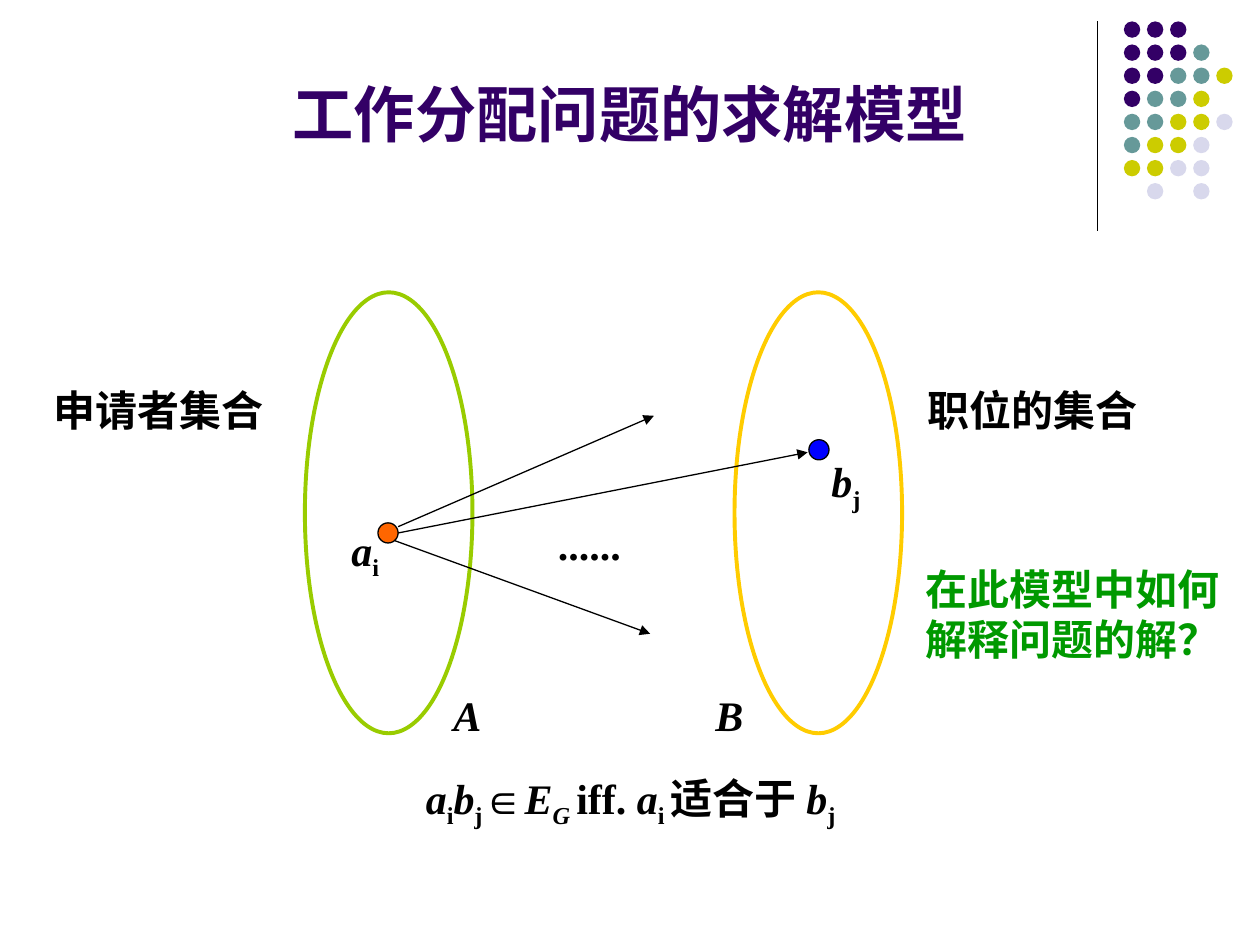
import pptx
import pptx.dml.color
import pptx.enum.dml
import pptx.enum.shapes
import pptx.enum.text
import pptx.oxml.ns
import pptx.util
from lxml import etree
from pptx.util import Inches

COLORS = {
    "purple": "330066", "teal": "669999", "olive": "CCCC00", "lavender": "D8D8EC",
    "black": "000000", "applicants": "99CC00", "jobs": "FFCC00",
    "applicant": "FF6600", "job": "0000FF", "question": "009900",
}
DOT_ROWS = ["PPP", "PPPT", "PPTTO", "PTTO", "TTOOL", "TOOL", "OOLL", " L L"]
DOT_COLORS = {"P": "purple", "T": "teal", "O": "olive", "L": "lavender"}
SERIF = "Times New Roman"
CENTER = pptx.enum.text.PP_ALIGN.CENTER
LEFT = pptx.enum.text.PP_ALIGN.LEFT


def rgb(name):
    """Return the named palette colour."""
    return pptx.dml.color.RGBColor.from_string(COLORS[name])


def format_run(run, size, font, color, italic=False):
    """Apply bold lettering to a run."""
    run.font.size = pptx.util.Pt(size)
    run.font.name = font
    run.font.bold = True
    run.font.italic = italic
    run.font.color.rgb = rgb(color)


def set_title(slide, wording):
    """Place and format the slide title."""
    title = slide.shapes.title
    title.left, title.top = Inches(0), Inches(0.51)
    title.width, title.height = Inches(10), Inches(0.73)
    frame = title.text_frame
    frame.text = wording
    frame.auto_size = pptx.enum.text.MSO_AUTO_SIZE.NONE
    frame.vertical_anchor = pptx.enum.text.MSO_ANCHOR.BOTTOM
    frame.paragraphs[0].alignment = CENTER
    format_run(frame.paragraphs[0].runs[0], 35, "Arial", "purple")


def add_ellipse(shapes, left, top, width, height, fill=None, line=None, weight=0.75):
    """Add an ellipse with optional fill and outline."""
    ellipse = shapes.add_shape(
        pptx.enum.shapes.MSO_SHAPE.OVAL,
        Inches(left), Inches(top), Inches(width), Inches(height))
    ellipse.shadow.inherit = False
    if fill:
        ellipse.fill.solid()
        ellipse.fill.fore_color.rgb = rgb(fill)
    else:
        ellipse.fill.background()
    if line:
        ellipse.line.color.rgb = rgb(line)
        ellipse.line.width = pptx.util.Pt(weight)
    else:
        ellipse.line.fill.background()


def add_line(slide, start, end, arrow=False):
    """Add a thin black line, with an arrowhead at its end if asked."""
    line = slide.shapes.add_connector(
        pptx.enum.shapes.MSO_CONNECTOR.STRAIGHT,
        *(Inches(value) for value in start + end))
    line.line.color.rgb = rgb("black")
    line.line.width = pptx.util.Pt(0.75)
    properties = line._element.spPr
    if arrow:
        head = etree.SubElement(line.line._get_or_add_ln(), pptx.oxml.ns.qn("a:tailEnd"))
        head.set("type", "triangle")
    etree.SubElement(properties, pptx.oxml.ns.qn("a:effectLst"))


def add_label(slide, left, top, width, height, parts, align=LEFT, font=SERIF, color="black"):
    """Add a label from (text, style) parts: i is italic, s is subscript."""
    label = slide.shapes.add_textbox(
        Inches(left), Inches(top), Inches(width), Inches(height))
    label.text_frame.word_wrap = True
    paragraph = label.text_frame.paragraphs[0]
    paragraph.alignment = align
    for wording, style in parts:
        run = paragraph.add_run()
        run.text = wording
        format_run(run, 24, font, color, "i" in style)
        if "s" in style:
            run.font._element.set("baseline", "-25000")


def add_dot_pattern(slide):
    """Add the corner grid of coloured dots."""
    pattern = slide.shapes.add_group_shape()
    for row, codes in enumerate(DOT_ROWS):
        for column, code in enumerate(codes):
            if code in DOT_COLORS:
                add_ellipse(pattern.shapes, 8.92 + column * 0.55 / 3, 0.17 + row * 0.55 / 3,
                            0.13, 0.13, DOT_COLORS[code])


def add_set(slide, left, color):
    """Add the large outline of one vertex set."""
    add_ellipse(slide.shapes, left, 2.32, 1.33, 3.5, line=color, weight=2.25)


def add_vertex(slide, left, top, color):
    """Add one small vertex."""
    add_ellipse(slide.shapes, left, top, 0.16, 0.16, color, "black")


def main():
    """Build the job assignment slide."""
    deck = pptx.Presentation()
    deck.slide_width, deck.slide_height = Inches(10), Inches(7.5)
    slide = deck.slides.add_slide(deck.slide_layouts[5])
    a_i = [("a", "i"), ("i", "s")]
    b_j = [("b", "i"), ("j", "s")]

    add_line(slide, (8.71, 0.17), (8.71, 1.83))
    add_dot_pattern(slide)
    set_title(slide, "工作分配问题的求解模型")

    add_set(slide, 2.42, "applicants")
    add_label(slide, 3.5, 5.42, 0.83, 0.5, [("A", "i")])
    add_vertex(slide, 3, 4.15, "applicant")
    add_label(slide, 2.69, 4.11, 0.83, 0.5, a_i)
    add_set(slide, 5.83, "jobs")
    add_label(slide, 5.58, 5.42, 0.83, 0.5, [("B", "i")])
    add_vertex(slide, 6.42, 3.49, "job")
    add_label(slide, 6.5, 3.57, 0.83, 0.5, b_j)

    for start, end in [((3.16, 4.23), (6.41, 3.59)),
                       ((3.16, 4.18), (5.19, 3.3)),
                       ((3.13, 4.29), (5.16, 5.03))]:
        add_line(slide, start, end, arrow=True)

    add_label(slide, 4.33, 4.07, 1.08, 0.5, [("......", "")])
    add_label(slide, 0.33, 3, 2.01, 0.5, [("申请者集合", "")])
    add_label(slide, 7.26, 3, 2.2, 0.5, [("职位的集合", "")])
    condition = a_i + b_j + [
        ("∈", ""), ("E", "i"), ("G ", "is"), ("iff. ", ""),
        ("a", "i"), ("i ", "s"), ("适合于 ", "")] + b_j
    add_label(slide, 2.92, 6.08, 4.17, 0.5, condition, CENTER)
    add_label(slide, 7.18, 4.42, 2.67, 0.91, [("在此模型中如何解释问题的解？", "")],
              CENTER, "Roboto", "question")
    deck.save("out.pptx")


if __name__ == "__main__":
    main()
